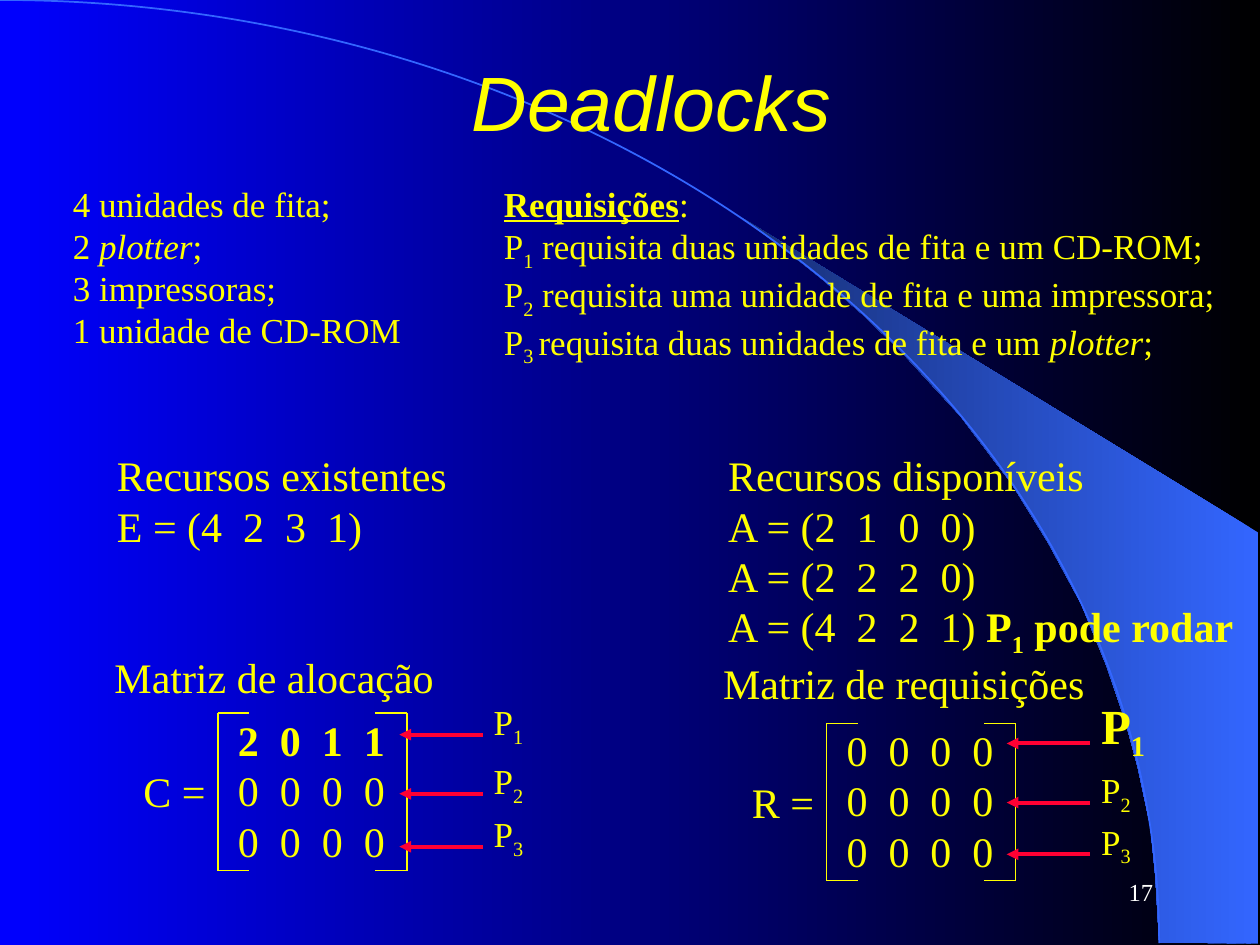
from lxml.etree import SubElement
from pptx import Presentation
from pptx.dml.color import RGBColor
from pptx.enum.shapes import MSO_CONNECTOR, MSO_SHAPE
from pptx.enum.text import MSO_ANCHOR, MSO_AUTO_SIZE, PP_ALIGN
from pptx.oxml.ns import qn
from pptx.util import Inches, Pt

BLACK = RGBColor(0x00, 0x00, 0x00)
BLUE = RGBColor(0x00, 0x00, 0xFF)
SKY = RGBColor(0x33, 0x66, 0xFF)
NAVY = RGBColor(0x17, 0x2F, 0x75)
YELLOW = RGBColor(0xFF, 0xFF, 0x00)
RED = RGBColor(0xFF, 0x00, 0x33)
WHITE = RGBColor(0xFF, 0xFF, 0xFF)

SUB = {"sub": True}
BOLD = {"bold": True}
ITALIC = {"italic": True}
SLACK = 0.05


def add_run(p, text, size=24, font="Times New Roman", color=YELLOW,
            bold=False, italic=False, underline=False, sub=False):
    r = p.add_run()
    r.text = text
    f = r.font
    f.size, f.name = Pt(size), font
    f.bold, f.italic, f.underline = bold, italic, underline
    f.color.rgb = color
    if sub:
        r._r.get_or_add_rPr().set("baseline", "-25000")


def set_gradient(fill, first, last):
    fill.gradient()
    fill.gradient_angle = 180
    for stop, color, position in zip(fill.gradient_stops, (first, last), (0, 1)):
        stop.color.rgb = color
        stop.position = position


class Deck:
    def __init__(self, s):
        self.s = s

    def text(self, left, top, width, height, paragraphs, wrap=False,
             align=PP_ALIGN.LEFT, anchor=MSO_ANCHOR.TOP, **style):
        box = self.s.shapes.add_textbox(
            Inches(left), Inches(top),
            Inches(width if wrap else width + SLACK), Inches(height))
        tf = box.text_frame
        tf.word_wrap = wrap
        tf.auto_size = MSO_AUTO_SIZE.NONE if wrap else MSO_AUTO_SIZE.SHAPE_TO_FIT_TEXT
        tf.vertical_anchor = anchor
        for i, runs in enumerate(paragraphs):
            p = tf.add_paragraph() if i else tf.paragraphs[0]
            p.alignment = align
            for text, extra in runs:
                add_run(p, text, **{**style, **extra})

    def line(self, x1, y1, x2, y2, color=YELLOW, width=0.75, arrow=False):
        c = self.s.shapes.add_connector(
            MSO_CONNECTOR.STRAIGHT, Inches(x1), Inches(y1), Inches(x2), Inches(y2))
        c.line.color.rgb = color
        c.line.width = Pt(width)
        if arrow:
            SubElement(c.line._get_or_add_ln(), qn("a:headEnd"), type="triangle")
        SubElement(c._element.spPr, qn("a:effectLst"))

    def beam(self, points):
        (x, y), *rest = [(Inches(a), Inches(b)) for a, b in points]
        builder = self.s.shapes.build_freeform(x, y)
        builder.add_line_segments(rest, close=True)
        sp = builder.convert_to_shape()
        sp.shadow.inherit = False
        set_gradient(sp.fill, SKY, NAVY)
        sp.line.fill.background()

    def arc(self, left, top, width, height):
        sp = self.s.shapes.add_shape(
            MSO_SHAPE.ARC, Inches(left), Inches(top), Inches(width), Inches(height))
        sp.shadow.inherit = False
        sp.fill.background()
        sp.line.color.rgb = SKY
        sp.line.width = Pt(1)

    def matrix(self, left, top, title, title_top, title_width, name, rows,
               arrow_left, arrow_tops, label_sizes):
        right, bottom, lip = left + 1.5, top + 1.25, 0.25
        self.text(left - 0.69, top + 0.37, 0.69, 0.5, [[(name, {})]])
        self.text(left + 0.06, top - 0.04, 1.36, 1.3, rows)
        for x, inner in ((left, left + lip), (right, right - lip)):
            self.line(x, top, x, bottom)
            for y in (top, bottom):
                self.line(x, y, inner, y)
        self.text(left - 0.92, title_top, title_width, 0.5, [[(title, {})]])
        for i, (y, size) in enumerate(zip(arrow_tops, label_sizes), 1):
            self.line(arrow_left, y, arrow_left + 0.66, y, RED, 2.25, arrow=True)
            big = size > 20
            width, height, rise = (0.55, 0.63, 0.43) if big else (0.43, 0.48, 0.32)
            self.text(arrow_left + 0.65, y - rise, width, height,
                      [[("P", {}), (str(i), SUB)]], size=size, bold=big)


def main():
    prs = Presentation()
    prs.slide_width, prs.slide_height = Inches(10), Inches(7.5)
    s = prs.slides.add_slide(prs.slide_layouts[6])
    set_gradient(s.background.fill, BLACK, BLUE)
    deck = Deck(s)

    deck.beam([
        (9.2, 7.48), (9.99, 7.49), (9.99, 4.23), (5.89, 1.73), (6.24, 1.99),
        (6.53, 2.22), (6.85, 2.5), (7.16, 2.8), (7.62, 3.3), (8.03, 3.84),
        (8.32, 4.31), (8.58, 4.79), (8.78, 5.28), (8.93, 5.72), (9.03, 6.09),
        (9.13, 6.56), (9.17, 6.96)])
    deck.arc(-9.2, 0, 18.4, 14.97)

    deck.text(0.67, 0.17, 9, 1.25, [[("Deadlocks", ITALIC)]], wrap=True,
              align=PP_ALIGN.CENTER, anchor=MSO_ANCHOR.MIDDLE, size=44, font="Arial")
    deck.text(0.83, 3.52, 2.82, 0.9,
              [[("Recursos existentes", {})], [("E = (4  2  3  1)", {})]])
    deck.text(5.68, 3.52, 4.32, 1.76, [
        [("Recursos disponíveis", {})],
        [("A = (2  1  0  0)", {})],
        [("A = (2  2  2  0)", {})],
        [("A = (4  2  2  1) ", {}), ("P", BOLD), ("1", {**BOLD, **SUB}),
         (" pode rodar", BOLD)]])

    zeros = [("0  0  0  0", {})]
    deck.matrix(1.73, 5.66, "Matriz de alocação", 5.12, 2.73, "C =",
                [[("2  0  1  1", BOLD)], zeros, zeros],
                3.17, (5.83, 6.3, 6.72), (20, 20, 20))
    deck.matrix(6.56, 5.74, "Matriz de requisições", 5.17, 3.07, "R =",
                [zeros] * 3, 7.99, (5.9, 6.37, 6.78), (28, 20, 20))

    deck.text(0.48, 1.4, 2.8, 1.44, [
        [("4 unidades de fita;", {})],
        [("2 ", {}), ("plotter", ITALIC), (";", {})],
        [("3 impressoras;", {})],
        [("1 unidade de CD-ROM", {})]], size=20)
    deck.text(3.9, 1.4, 5.84, 1.57, [
        [("Requisições", {"bold": True, "underline": True}), (":", {})],
        [("P", {}), ("1", SUB), (" requisita duas unidades de fita e um CD-ROM;", {})],
        [("P", {}), ("2", SUB), (" requisita uma unidade de fita e uma impressora;", {})],
        [("P", {}), ("3 ", SUB), ("requisita duas unidades de fita e um ", {}),
         ("plotter", ITALIC), (";", {})]], size=20)
    deck.text(7.17, 6.83, 2.08, 0.5, [[("17", {})]], wrap=True, align=PP_ALIGN.RIGHT,
              anchor=MSO_ANCHOR.MIDDLE, size=14, color=WHITE)

    prs.save("out.pptx")


if __name__ == "__main__":
    main()
